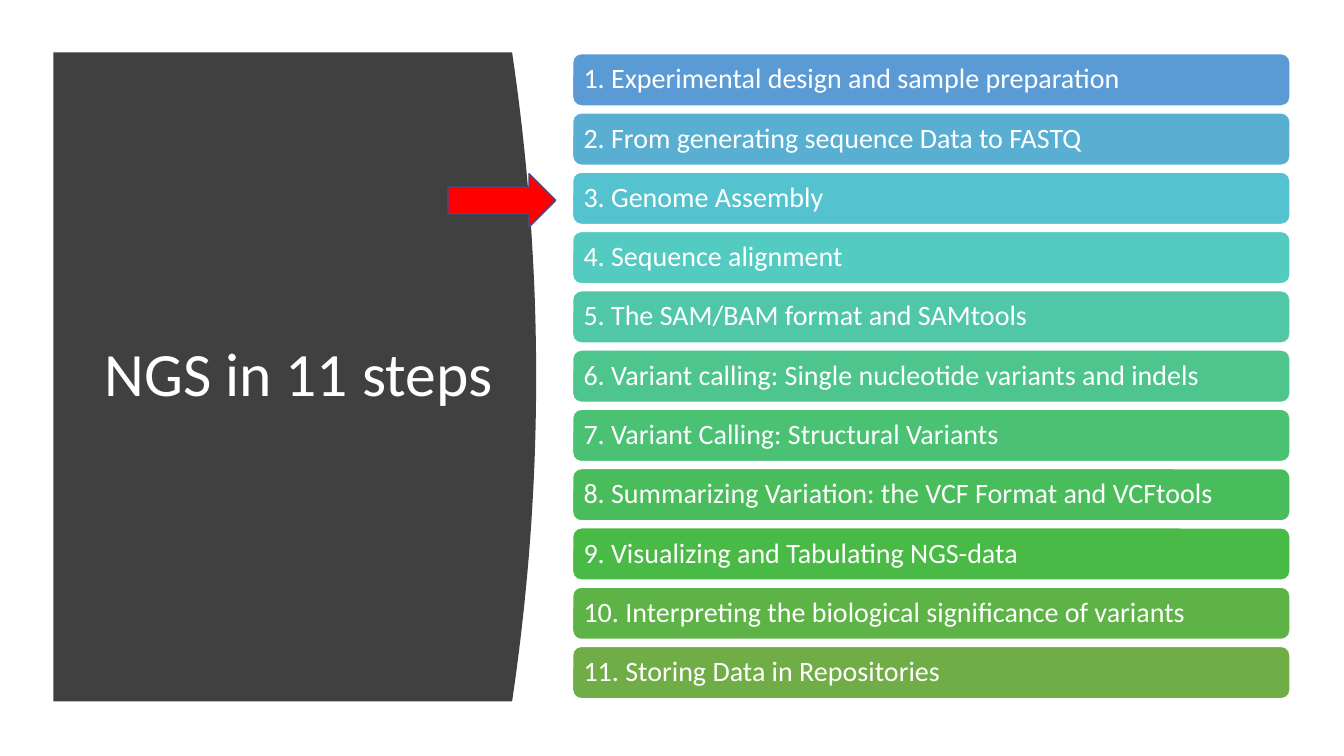
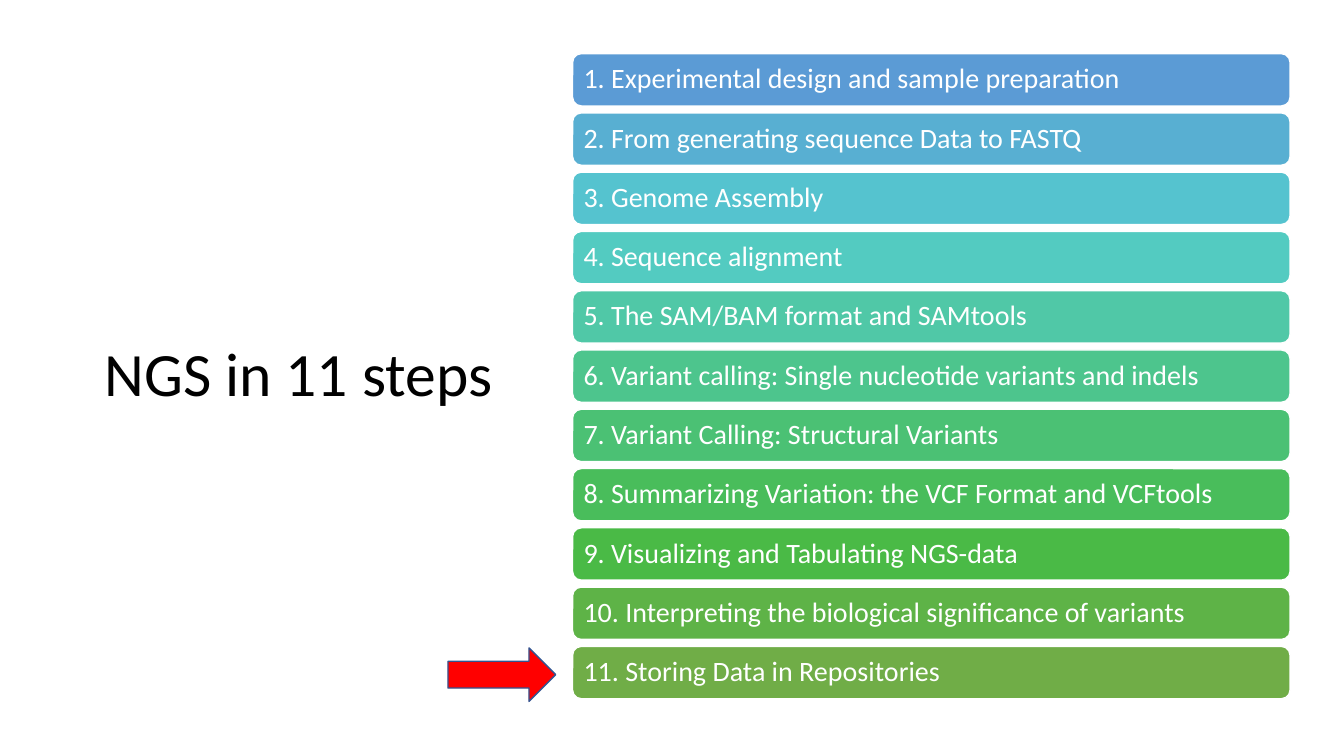
import dataclasses

import pptx
import pptx.dml.color
import pptx.enum.shapes
import pptx.enum.text
import pptx.util

Pt = pptx.util.Pt
RGBColor = pptx.dml.color.RGBColor
Shapes = pptx.enum.shapes.MSO_SHAPE


@dataclasses.dataclass(frozen=True)
class Theme:
    font: str = "Calibri"
    title_size: float = 44
    step_size: float = 20
    light: str = "FFFFFF"
    dark: str = "000000"
    panel: str = "404040"
    arrow: str = "FF0000"
    arrow_line: str = "325491"


theme = Theme()

TITLE = "NGS in 11 steps"
STEPS = [
    ("Experimental design and sample preparation", "5B9BD5"),
    ("From generating sequence Data to FASTQ", "58AFD2"),
    ("Genome Assembly", "55C3CF"),
    ("Sequence alignment", "53CBC1"),
    ("The SAM/BAM format and SAMtools", "50C8A7"),
    ("Variant calling: Single nucleotide variants and indels", "4DC58D"),
    ("Variant Calling: Structural Variants", "4BC174"),
    ("Summarizing Variation: the VCF Format and VCFtools", "49BD5B"),
    ("Visualizing and Tabulating NGS-data", "4ABA46"),
    ("Interpreting the biological significance of variants", "5EB347"),
    ("Storing Data in Repositories", "70AD47"),
]
# (current step, whether the dark panel lies behind the title)
SLIDES = [(3, True), (11, False)]

BAR_LEFT, BAR_TOP, BAR_WIDTH, BAR_HEIGHT, BAR_PITCH = 409, 38.3, 512.5, 37.4, 42.34
ARROW_LEFT, ARROW_WIDTH, ARROW_HEIGHT, ARROW_DROP = 320, 77, 38.2, 1.5
PANEL_LEFT, PANEL_TOP, PANEL_HEIGHT = 38.2, 37.4, 463.7
PANEL_EDGE, PANEL_BULGE, PANEL_SEGMENTS = 365.8, 17.2, 40


def paint(shape, fill, line=None):
    """Give a shape a flat fill and a 1 pt outline, or none."""
    shape.shadow.inherit = False
    shape.fill.solid()
    shape.fill.fore_color.rgb = RGBColor.from_string(fill)
    if line:
        shape.line.color.rgb = RGBColor.from_string(line)
        shape.line.width = Pt(1)
    else:
        shape.line.fill.background()


def write(shape, text, size, color):
    """Set one left-aligned, vertically centred paragraph."""
    frame = shape.text_frame
    frame.text = text
    frame.word_wrap = True
    frame.vertical_anchor = pptx.enum.text.MSO_ANCHOR.MIDDLE
    paragraph = frame.paragraphs[0]
    paragraph.alignment = pptx.enum.text.PP_ALIGN.LEFT
    paragraph.line_spacing = 0.9
    font = paragraph.runs[0].font
    font.name = theme.font
    font.size = Pt(size)
    font.color.rgb = RGBColor.from_string(color)


presentation = pptx.Presentation()
presentation.slide_width = Pt(960)
presentation.slide_height = Pt(540)

# The panel's right edge is a shallow parabola, widest at mid-height.
panel_outline = []
for segment in range(PANEL_SEGMENTS + 1):
    share = segment / PANEL_SEGMENTS
    x = PANEL_EDGE + PANEL_BULGE * (1 - (2 * share - 1) ** 2)
    panel_outline.append((Pt(x), Pt(PANEL_TOP + PANEL_HEIGHT * share)))
panel_outline.append((Pt(PANEL_LEFT), Pt(PANEL_TOP + PANEL_HEIGHT)))

for current_step, has_panel in SLIDES:
    slide = presentation.slides.add_slide(presentation.slide_layouts[6])

    if has_panel:
        builder = slide.shapes.build_freeform(Pt(PANEL_LEFT), Pt(PANEL_TOP))
        builder.add_line_segments(panel_outline, close=True)
        paint(builder.convert_to_shape(), theme.panel)

    title = slide.shapes.add_textbox(Pt(67.7), Pt(80), Pt(298.8), Pt(377.3))
    write(title, TITLE, theme.title_size, theme.light if has_panel else theme.dark)

    for index, (step, color) in enumerate(STEPS):
        bar = slide.shapes.add_shape(
            Shapes.ROUNDED_RECTANGLE, Pt(BAR_LEFT), Pt(BAR_TOP + index * BAR_PITCH),
            Pt(BAR_WIDTH), Pt(BAR_HEIGHT))
        paint(bar, color, theme.light)
        write(bar, f"{index + 1}. {step}", theme.step_size, theme.light)
        bar.text_frame.margin_left = Pt(6)

    bar_middle = BAR_TOP + (current_step - 1) * BAR_PITCH + BAR_HEIGHT / 2
    arrow = slide.shapes.add_shape(
        Shapes.RIGHT_ARROW, Pt(ARROW_LEFT), Pt(bar_middle - ARROW_HEIGHT / 2 + ARROW_DROP),
        Pt(ARROW_WIDTH), Pt(ARROW_HEIGHT))
    paint(arrow, theme.arrow, theme.arrow_line)

presentation.save("out.pptx")
